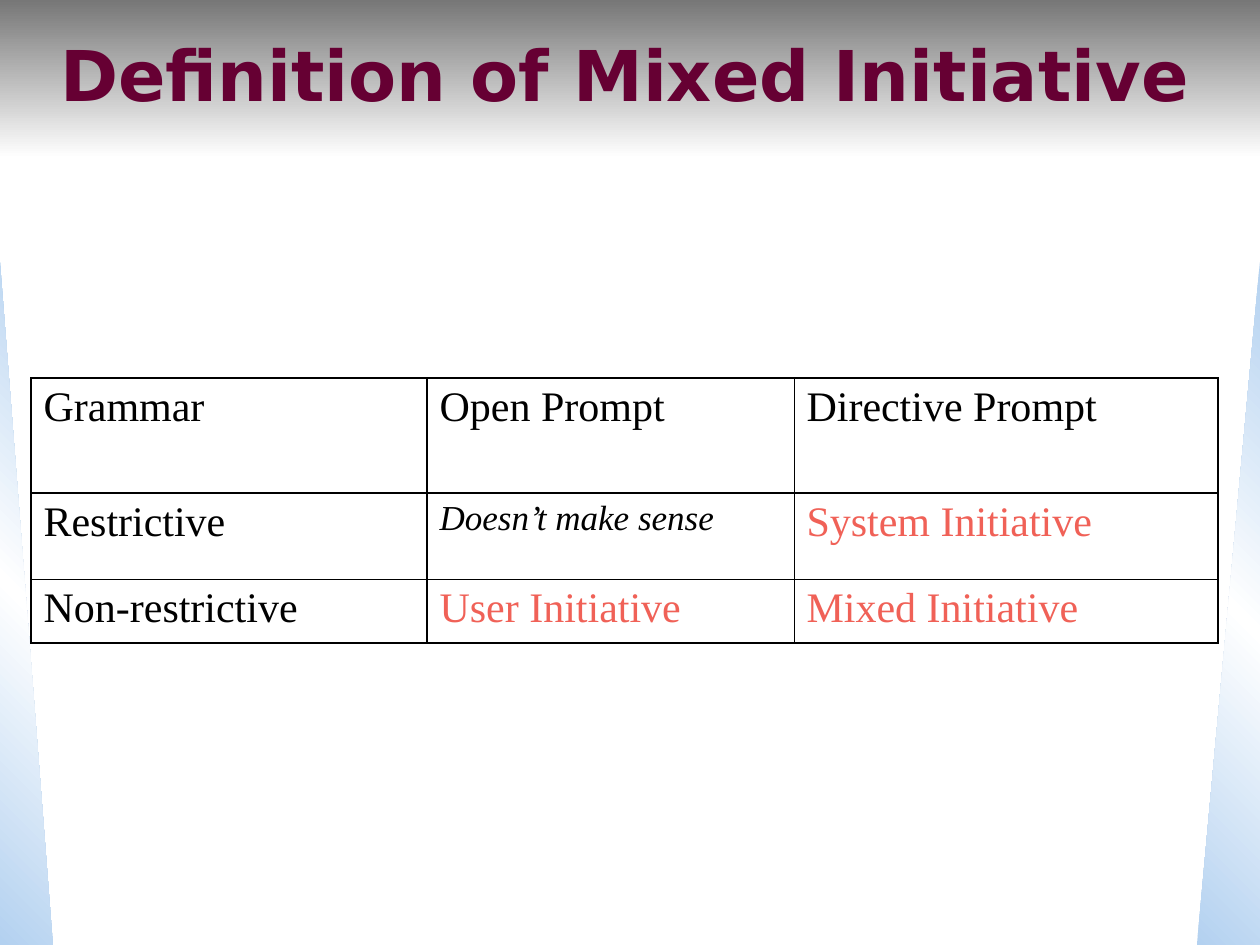
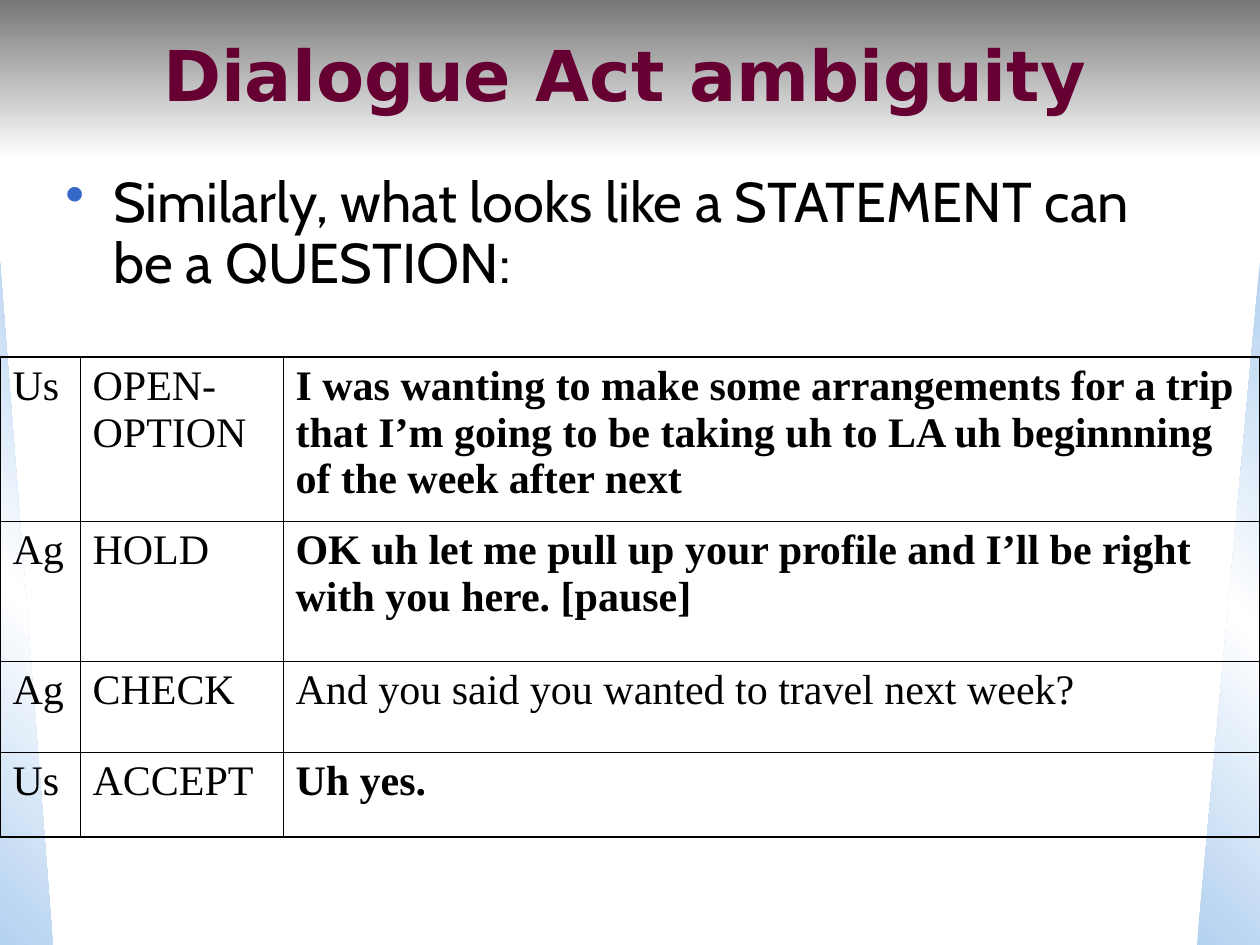
from lxml.etree import SubElement
from pptx import Presentation
from pptx.dml.color import RGBColor
from pptx.enum.shapes import MSO_SHAPE as Preset
from pptx.enum.text import MSO_ANCHOR as Anchor, PP_ALIGN as Align
from pptx.oxml import parse_xml
from pptx.oxml.ns import nsdecls, qn
from pptx.util import Pt

PX = 914400 // 126
WIDTH, HEIGHT = 1260, 945
BLACK, WHITE, PLUM, CORAL = "000000", "FFFFFF", "660033", "F06157"
GREY, SKY, BULLET_BLUE = "777777", "B3D1F0", "3568C7"
TITLE_FONT, BODY_FONT, TABLE_FONT = "DejaVu Sans", "Cabin", "Times New Roman"
THICK, MEDIUM, THIN = 1.47, 1.08, 0.45

BACKDROP = [
    (Preset.RECTANGLE, (0, 0, WIDTH, 158), [GREY, WHITE], 90, False),
    (Preset.RIGHT_TRIANGLE, (0, 262, 53, 683), [SKY, WHITE, SKY], 135, False),
    (Preset.RIGHT_TRIANGLE, (1197, 262, 63, 683), [SKY, WHITE, SKY], 225, True),
]

PLAIN = {}
BOLD = {"bold": True}
SMALL_ITALIC = {"size": 20, "italic": True}
ACCENT = {"color": CORAL}

SLIDES = [
    {
        "title": "Definition of Mixed Initiative",
        "bullet": None,
        "origin": (31, 378),
        "columns": [396, 367, 424],
        "rows": [115, 86, 64],
        "vertical_lines": [MEDIUM, THICK, THIN, MEDIUM],
        "horizontal_lines": [MEDIUM, THICK, THIN, MEDIUM],
        "cells": [
            [("Grammar", PLAIN), ("Open Prompt", PLAIN), ("Directive Prompt", PLAIN)],
            [("Restrictive", PLAIN), ("Doesn’t make sense", SMALL_ITALIC), ("System Initiative", ACCENT)],
            [("Non-restrictive", PLAIN), ("User Initiative", ACCENT), ("Mixed Initiative", ACCENT)],
        ],
    },
    {
        "title": "Dialogue Act ambiguity",
        "bullet": "Similarly, what looks like a STATEMENT can be a QUESTION:",
        "origin": (0, 357),
        "columns": [80, 203, 977],
        "rows": [164, 140, 91, 85],
        "vertical_lines": [MEDIUM, THIN, THIN, MEDIUM],
        "horizontal_lines": [MEDIUM, THIN, THIN, THIN, MEDIUM],
        "cells": [
            [("Us", PLAIN), ("OPEN-OPTION", PLAIN),
             ("I was wanting to make some arrangements for a trip that I’m going to be "
              "taking uh to LA uh beginnning of the week after next", BOLD)],
            [("Ag", PLAIN), ("HOLD", PLAIN),
             ("OK uh let me pull up your profile and I’ll be right with you here. [pause]", BOLD)],
            [("Ag", PLAIN), ("CHECK", PLAIN), ("And you said you wanted to travel next week?", PLAIN)],
            [("Us", PLAIN), ("ACCEPT", PLAIN), ("Uh yes.", BOLD)],
        ],
    },
]


def add_run(paragraph, text, font, size=24, color=BLACK, bold=False, italic=False):
    run = paragraph.add_run()
    run.text = text
    run.font.name = font
    run.font.size = Pt(size)
    run.font.bold = bold
    run.font.italic = italic
    run.font.color.rgb = RGBColor.from_string(color)


def add_text_box(slide, *box):
    frame = slide.shapes.add_textbox(*(length * PX for length in box)).text_frame
    frame.word_wrap = True
    return frame


presentation = Presentation()
presentation.slide_width = WIDTH * PX
presentation.slide_height = HEIGHT * PX

for content in SLIDES:
    slide = presentation.slides.add_slide(presentation.slide_layouts[6])
    slide.background.fill.solid()
    slide.background.fill.fore_color.rgb = RGBColor.from_string(WHITE)

    for preset, box, colors, angle, mirrored in BACKDROP:
        shape = slide.shapes.add_shape(preset, *(length * PX for length in box))
        shape.shadow.inherit = False
        shape.line.fill.background()
        stops = "".join(
            f'<a:gs pos="{100000 * i // (len(colors) - 1)}"><a:srgbClr val="{color}"/></a:gs>'
            for i, color in enumerate(colors)
        )
        gradient = parse_xml(
            f'<a:gradFill {nsdecls("a")} rotWithShape="1"><a:gsLst>{stops}</a:gsLst>'
            f'<a:lin ang="{angle * 60000}" scaled="0"/></a:gradFill>'
        )
        properties = shape._element.spPr
        properties.find(qn("a:prstGeom")).addnext(gradient)
        if mirrored:
            properties.find(qn("a:xfrm")).set("flipH", "1")

    title_frame = add_text_box(slide, 10, 0, 1229, 147)
    title_frame.vertical_anchor = Anchor.MIDDLE
    title = title_frame.paragraphs[0]
    title.alignment = Align.CENTER
    add_run(title, content["title"], TITLE_FONT, 40, PLUM, bold=True)

    if content["bullet"]:
        paragraph = add_text_box(slide, 53, 168, 1134, 725).paragraphs[0]
        paragraph.line_spacing = 0.9
        bullet = paragraph._p.get_or_add_pPr()
        bullet.set("marL", str(48 * PX))
        bullet.set("indent", str(-48 * PX))
        bullet_color = SubElement(bullet, qn("a:buClr"))
        SubElement(bullet_color, qn("a:srgbClr"), val=BULLET_BLUE)
        SubElement(bullet, qn("a:buChar"), char="•")
        add_run(paragraph, content["bullet"], BODY_FONT, 32)

    columns, rows = content["columns"], content["rows"]
    left, top = content["origin"]
    table = slide.shapes.add_table(
        len(rows), len(columns), left * PX, top * PX, sum(columns) * PX, sum(rows) * PX
    ).table
    table.first_row = False
    table.horz_banding = False
    for column, width in zip(table.columns, columns):
        column.width = width * PX
    for row, height in zip(table.rows, rows):
        row.height = height * PX

    vertical, horizontal = content["vertical_lines"], content["horizontal_lines"]
    for r, row_cells in enumerate(content["cells"]):
        for c, (text, style) in enumerate(row_cells):
            cell = table.cell(r, c)
            add_run(cell.text_frame.paragraphs[0], text, TABLE_FONT, **style)
            cell_properties = cell._tc.get_or_add_tcPr()
            edges = zip("LRTB", (vertical[c], vertical[c + 1], horizontal[r], horizontal[r + 1]))
            for side, points in edges:
                border = SubElement(cell_properties, qn(f"a:ln{side}"), w=str(Pt(points)))
                border_fill = SubElement(border, qn("a:solidFill"))
                SubElement(border_fill, qn("a:srgbClr"), val=BLACK)
            cell.fill.background()

presentation.save("out.pptx")
